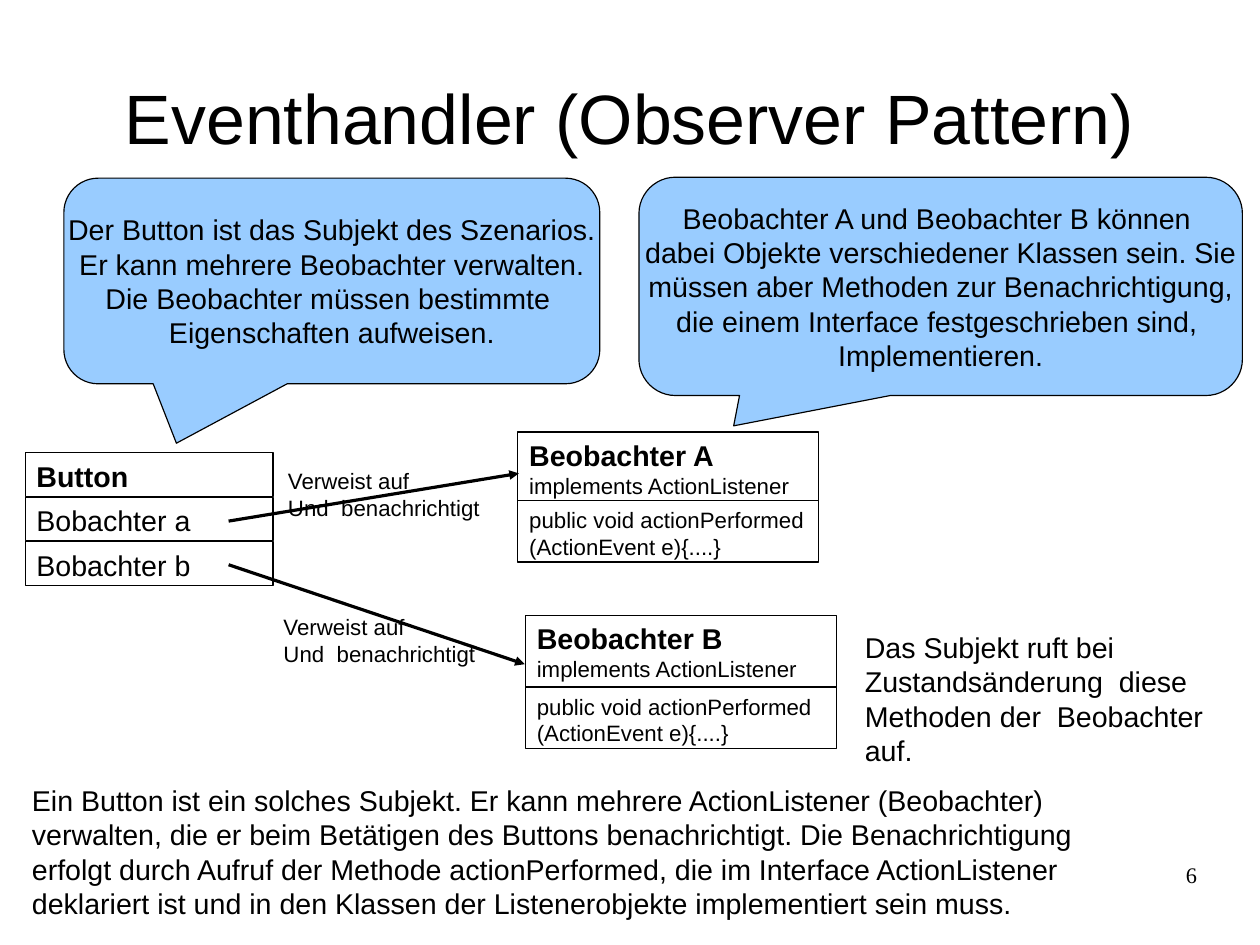
from lxml import etree
from pptx import Presentation
from pptx.dml.color import RGBColor
from pptx.enum import shapes, text
from pptx.oxml import ns
from pptx.util import Cm, Pt

BLACK = RGBColor(0x00, 0x00, 0x00)
LIGHT_BLUE = RGBColor(0x99, 0xCC, 0xFF)
LEFT, CENTER, RIGHT = text.PP_ALIGN.LEFT, text.PP_ALIGN.CENTER, text.PP_ALIGN.RIGHT
TOP, MIDDLE = text.MSO_ANCHOR.TOP, text.MSO_ANCHOR.MIDDLE


def write(shape, lines, align=LEFT, anchor=TOP, wrap=True, inset=(0.25, 0.13), font="Arial"):
    frame = shape.text_frame
    frame.word_wrap = wrap
    frame.auto_size = text.MSO_AUTO_SIZE.NONE
    frame.vertical_anchor = anchor
    frame.margin_left = frame.margin_right = Cm(inset[0])
    frame.margin_top = frame.margin_bottom = Cm(inset[1])
    for index, (content, size, bold) in enumerate(lines):
        paragraph = frame.add_paragraph() if index else frame.paragraphs[0]
        paragraph.alignment = align
        run = paragraph.add_run()
        run.text = content
        run.font.name = font
        run.font.size = Pt(size)
        run.font.bold = bold
        run.font.color.rgb = BLACK


def add_outlined(kind, box, fill=None):
    shape = slide.shapes.add_shape(kind, *[Cm(length) for length in box])
    shape.shadow.inherit = False
    if fill is None:
        shape.fill.background()
    else:
        shape.fill.solid()
        shape.fill.fore_color.rgb = fill
    shape.line.color.rgb = BLACK
    shape.line.width = Pt(0)
    return shape


presentation = Presentation()
presentation.slide_width = Cm(28)
presentation.slide_height = Cm(21)
slide = presentation.slides.add_slide(presentation.slide_layouts[5])

title = slide.shapes.title
title.left, title.top, title.width, title.height = Cm(1.4), Cm(0.84), Cm(25.2), Cm(3.5)
write(title, [("Eventhandler (Observer Pattern)", 44, False)], CENTER, MIDDLE, inset=(0, 0))

callouts = [
    ((1.42, 3.96, 11.91, 4.57), (-0.29, 0.789, 0.167), [
        "Der Button ist das Subjekt des Szenarios.",
        "Er kann mehrere Beobachter verwalten.",
        "Die Beobachter müssen bestimmte ",
        "Eigenschaften aufweisen.",
    ]),
    ((14.2, 3.94, 13.41, 4.85), (-0.343, 0.639, 0.167), [
        "Beobachter A und Beobachter B können ",
        "dabei Objekte verschiedener Klassen sein. Sie",
        "müssen aber Methoden zur Benachrichtigung,",
        "die einem Interface festgeschrieben sind, ",
        "Implementieren.",
    ]),
]
for box, adjustments, lines in callouts:
    callout = add_outlined(shapes.MSO_SHAPE.ROUNDED_RECTANGULAR_CALLOUT, box, LIGHT_BLUE)
    for index, value in enumerate(adjustments):
        callout.adjustments[index] = value
    write(callout, [(line, 18, False) for line in lines], CENTER, MIDDLE, wrap=False)

for row, label in enumerate(["Button", "Bobachter a", "Bobachter b"]):
    field = add_outlined(shapes.MSO_SHAPE.RECTANGLE, (0.56, 10.06 + row * 0.99, 5.51, 0.97))
    write(field, [(label, 18, row == 0)])

observers = [
    ("Beobachter A", 11.51, 9.6, 6.68, 1.52),
    ("Beobachter B", 11.68, 13.67, 6.91, 1.6),
]
for name, left, top, width, height in observers:
    header = add_outlined(shapes.MSO_SHAPE.RECTANGLE, (left, top, width, height))
    write(header, [(name, 18, True), ("implements ActionListener", 14, False)])
    method = add_outlined(shapes.MSO_SHAPE.RECTANGLE, (left, top + height, width, 1.37))
    write(method, [("public void actionPerformed (ActionEvent e){....}", 14, False)])

for ends in [(5.08, 11.58, 11.53, 10.52), (5.08, 12.55, 11.66, 14.76)]:
    arrow = slide.shapes.add_connector(shapes.MSO_CONNECTOR.STRAIGHT, *[Cm(end) for end in ends])
    arrow.line.color.rgb = BLACK
    arrow.line.width = Pt(0)
    etree.SubElement(arrow.line._get_or_add_ln(), ns.qn("a:tailEnd"), type="triangle")
    etree.SubElement(arrow._element.spPr, ns.qn("a:effectLst"))

reference = [("Verweist auf", 14, False), ("Und  benachrichtigt", 14, False)]
call_note = "Das Subjekt ruft bei Zustandsänderung  diese Methoden der  Beobachter  auf."
summary = (
    "Ein Button ist ein solches Subjekt. Er kann mehrere ActionListener (Beobachter) "
    "verwalten, die er beim Betätigen des Buttons benachrichtigt. Die Benachrichtigung "
    "erfolgt durch Aufruf der Methode actionPerformed, die im Interface ActionListener "
    "deklariert ist und in den Klassen der Listenerobjekte implementiert sein muss."
)
notes = [
    ((6.15, 10.26, 4.93, 1.37), reference),
    ((6.05, 13.51, 4.93, 1.37), reference),
    ((18.97, 13.87, 8.79, 3.28), [(call_note, 18, False)]),
    ((0.46, 17.27, 25.53, 3.1), [(summary, 18, False)]),
]
for box, lines in notes:
    write(slide.shapes.add_textbox(*[Cm(length) for length in box]), lines)

page_number = slide.shapes.add_textbox(Cm(20.07), Cm(19.13), Cm(6.53), Cm(1.45))
write(page_number, [("6", 14, False)], RIGHT, inset=(0, 0), font="Times New Roman")

presentation.save("out.pptx")
